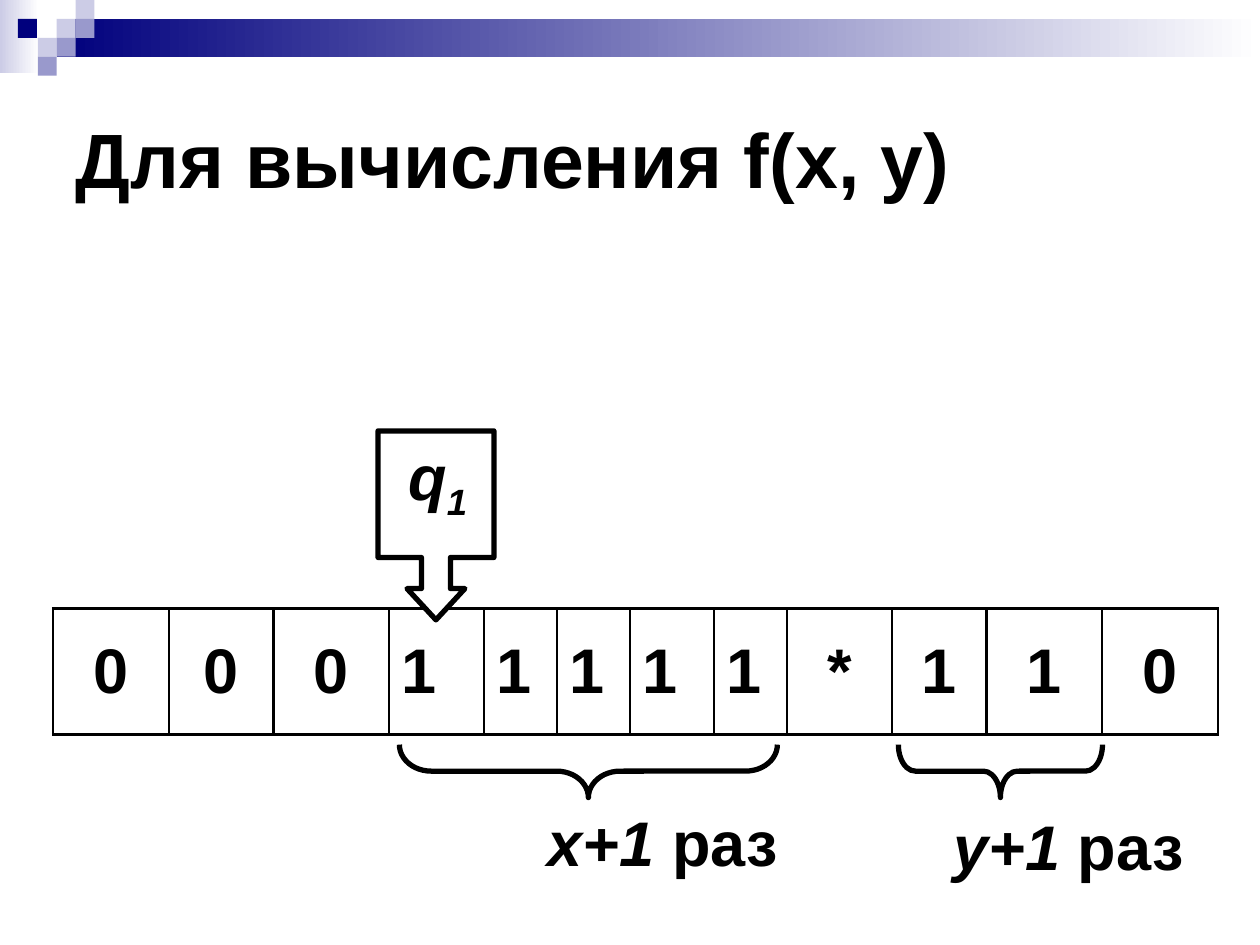
"""Build the Turing machine tape slide for computing f(x, y)."""
from lxml import etree
from pptx import Presentation
from pptx import util as u
from pptx.dml.color import RGBColor
from pptx.enum import shapes, text
from pptx.oxml import parse_xml

kind = shapes.MSO_SHAPE
mid = text.MSO_ANCHOR.MIDDLE
ns = "http://schemas.openxmlformats.org/drawingml/2006/main"


def hue(code):
    return RGBColor.from_string(code)


def style(para, size, slant=0):
    for i, run in enumerate(para.runs):
        font = run.font
        font.name, font.size, font.bold = "Arial", u.Pt(size), True
        font.italic = i < slant
        font.color.rgb = hue("000000")


deck = Presentation()
deck.slide_width, deck.slide_height = u.Inches(10), u.Inches(7.5)
slide = deck.slides.add_slide(deck.slide_layouts[6])
items = slide.shapes

for x, y, w, h, tone in [(0, 0, 0.31, 0.58, "CCCCE6"), (0.45, 0.15, 9.55, 0.3, "00007D")]:
    band = items.add_shape(kind.RECTANGLE, *map(u.Inches, (x, y, w, h)))
    band.shadow.inherit = False
    band.line.fill.background()
    band.fill.gradient()
    band.fill.gradient_angle = 0
    for stop, code in zip(band.fill.gradient_stops, (tone, "FFFFFF")):
        stop.color.rgb = hue(code)

side = 0.15
tiles = [(3, 1, "CCCCE6"), (4, 0, "CCCCE6"), (4, 1, "9999CC"), (2, 2, "CCCCE6"),
         (0.95, 1, "00007D"), (3, 2, "9999CC"), (2, 3, "9999CC")]
for col, row, tone in tiles:
    tile = items.add_shape(kind.RECTANGLE, *map(u.Inches, (col * side, row * side, side, side)))
    tile.shadow.inherit = False
    tile.line.fill.background()
    tile.fill.solid()
    tile.fill.fore_color.rgb = hue(tone)

title = items.add_textbox(*map(u.Inches, (0.5, 0.5, 9, 1.5))).text_frame
title.word_wrap = True
title.vertical_anchor = mid
title.text = "Для вычисления f(x, y)"
style(title.paragraphs[0], 44)

widths = [0.92, 0.83, 0.92, 0.75, 0.58, 0.58, 0.67, 0.58, 0.83, 0.75, 0.92, 0.92]
frame = items.add_table(1, len(widths), *map(u.Inches, (0.42, 4.83, 9.25, 1)))
tape = frame.table
tape.first_row = tape.horz_banding = False
for i, (sign, width) in enumerate(zip("00011111*110", widths)):
    tape.columns[i].width = u.Inches(width)
    cell = tape.cell(0, i)
    cell.vertical_anchor = mid
    cell.text = sign
    para = cell.text_frame.paragraphs[0]
    para.alignment = text.PP_ALIGN.LEFT if 3 <= i <= 7 else text.PP_ALIGN.CENTER
    style(para, 36)
    for edge in "LRTB":
        cell._tc.get_or_add_tcPr().append(parse_xml(
            f'<a:ln{edge} xmlns:a="{ns}" w="{u.Pt(1.47)}"><a:solidFill>'
            f'<a:srgbClr val="000000"/></a:solidFill></a:ln{edge}>'))
    if i == 3:
        cell.fill.solid()
        cell.fill.fore_color.rgb = hue("FFFFFF")
    else:
        cell.fill.background()

head = items.add_shape(kind.DOWN_ARROW_CALLOUT, *map(u.Inches, (3, 3.42, 0.92, 1.5)))
for i, part in enumerate((0.25, 0.25, 0.27, 0.67)):
    head.adjustments[i] = part
head.shadow.inherit = False
head.fill.solid()
head.fill.fore_color.rgb = hue("FFFFFF")
head.line.color.rgb = hue("000000")
head.line.width = u.Pt(3)
state = head.text_frame
state.vertical_anchor = text.MSO_ANCHOR.TOP
state.margin_left = u.Inches(0.24)
state.margin_right = 0
para = state.paragraphs[0]
para.alignment = text.PP_ALIGN.LEFT
for part in "q1":
    para.add_run().text = part
style(para, 36, 2)
para.runs[1]._r.get_or_add_rPr().set("baseline", "-25000")

for x, y, h, bend in [(4.46, 4.62, 3, 0.6), (7.73, 5.31, 1.62, 0.32)]:
    brace = items.add_shape(kind.LEFT_BRACE, *map(u.Inches, (x, y, 0.42, h)))
    brace.rotation = 270
    brace.adjustments[0] = bend
    brace.shadow.inherit = False
    brace.fill.background()
    brace.line.color.rgb = hue("000000")
    brace.line.width = u.Pt(3)

for x, y, w, h, name in [(4.25, 6.33, 2.58, 0.75, "x"), (7.47, 6.36, 2.11, 0.72, "y")]:
    note = items.add_textbox(*map(u.Inches, (x, y, w, h))).text_frame
    note.word_wrap = True
    para = note.paragraphs[0]
    for part in (name + "+1", " раз"):
        para.add_run().text = part
    style(para, 36, 1)

deck.save("out.pptx")
